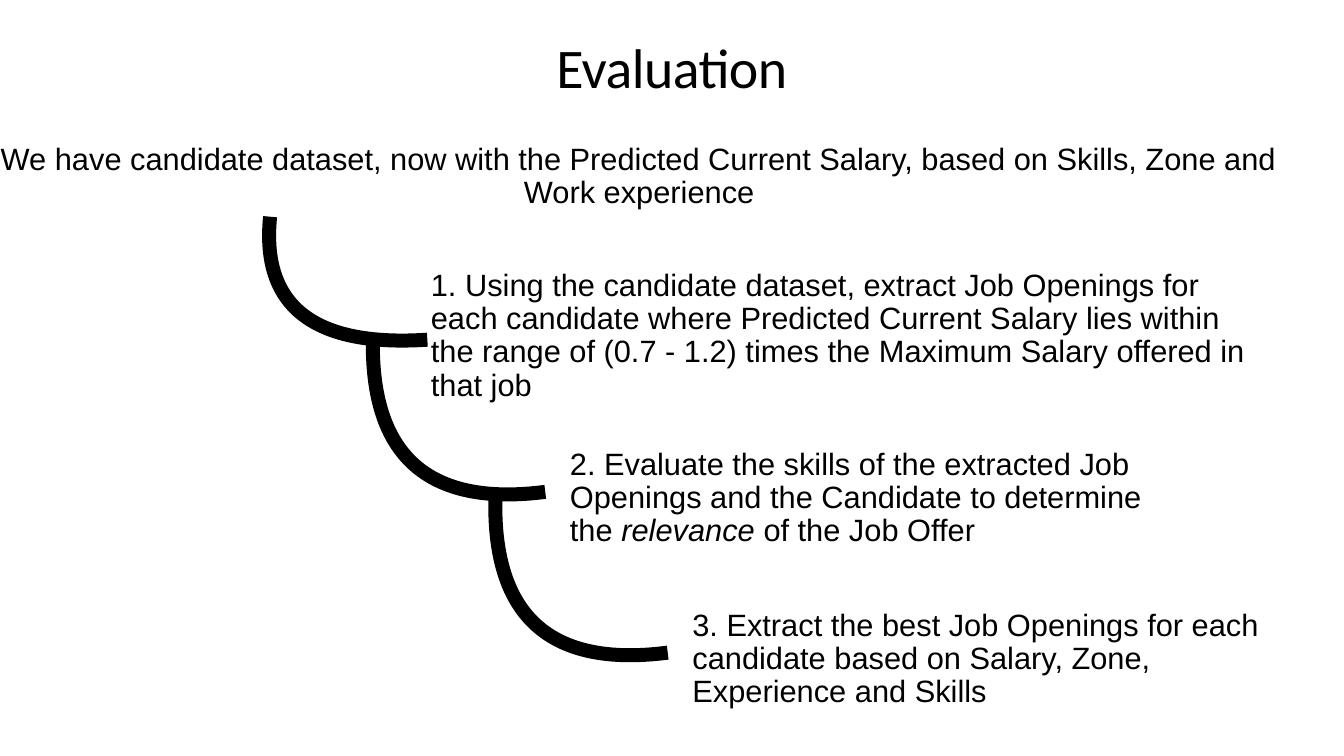
from dataclasses import dataclass

from lxml.etree import SubElement
from pptx import Presentation
from pptx.dml.color import RGBColor
from pptx.enum.text import MSO_ANCHOR, MSO_AUTO_SIZE, PP_ALIGN
from pptx.oxml.ns import qn
from pptx.util import Inches, Pt


@dataclass(frozen=True)
class Theme:
    ink: RGBColor = RGBColor(0, 0, 0)
    title_font: str = "Calibri"
    body_font: str = "Arial"
    title_size: float = 79.8
    body_size: float = 44
    stroke: float = 20
    inset: float = 0.06


class SlideBuilder:
    def __init__(self, prs, theme):
        self.theme = theme
        self.s = prs.slides.add_slide(prs.slide_layouts[6])

    def text(self, box, runs, font, size, frame_format, paragraph_format):
        sp = self.s.shapes.add_textbox(*map(Inches, box))
        tf = sp.text_frame
        margins = {f"margin_{side}": Inches(self.theme.inset)
                   for side in ("left", "top", "right", "bottom")}
        for name, value in {"word_wrap": True, **margins, **frame_format}.items():
            setattr(tf, name, value)
        p = tf.paragraphs[0]
        for name, value in paragraph_format.items():
            setattr(p, name, value)
        for words, italic in runs:
            r = p.add_run()
            r.text = words
            for name, value in {"name": font, "size": Pt(size), "italic": italic}.items():
                setattr(r.font, name, value)
            r.font.color.rgb = self.theme.ink
        return p

    def title(self, box, words):
        p = self.text(box, [(words, False)], self.theme.title_font, self.theme.title_size,
                      {"vertical_anchor": MSO_ANCHOR.TOP},
                      {"alignment": PP_ALIGN.CENTER, "line_spacing": 0.8})
        for r in p.runs:
            r.font._element.set("spc", "-80")

    def body(self, box, runs, align=PP_ALIGN.LEFT, **frame_format):
        self.text(box, runs, self.theme.body_font, self.theme.body_size,
                  {"vertical_anchor": MSO_ANCHOR.MIDDLE,
                   "auto_size": MSO_AUTO_SIZE.SHAPE_TO_FIT_TEXT, **frame_format},
                  {"alignment": align, "line_spacing": 0.9, "space_before": Pt(24)})

    def curve(self, start, *targets):
        fb = self.s.shapes.build_freeform(*map(Inches, start))
        fb.add_line_segments([tuple(map(Inches, targets[-1]))], close=False)
        sp = fb.convert_to_shape()
        segment = next(sp._element.iter(qn("a:lnTo")))
        segment.tag = qn("a:cubicBezTo")
        for pt in list(segment):
            segment.remove(pt)
        for x, y in targets:
            SubElement(segment, qn("a:pt"), x=str(Inches(x - start[0])),
                       y=str(Inches(y - start[1])))
        sp.shadow.inherit = False
        sp.fill.background()
        sp.line.color.rgb = self.theme.ink
        sp.line.width = Pt(self.theme.stroke)


def main():
    prs = Presentation()
    prs.slide_width, prs.slide_height = Inches(26.67), Inches(15)
    slide = SlideBuilder(prs, Theme())

    slide.title((1.33, 0.85, 24, 1.89), "Evaluation")
    slide.body((-0.02, 2.75, 26.71, 1.51),
               [("We have candidate dataset, now with the Predicted Current Salary, "
                 "based on Skills, Zone and Work experience", False)],
               PP_ALIGN.CENTER, margin_left=0, margin_right=Inches(1.3))

    steps = [
        ((8.49, 5.26, 16.45, 2.83),
         [("1. Using the candidate dataset, extract Job Openings for each candidate where "
           "Predicted Current Salary lies within the range of (0.7 - 1.2) times the "
           "Maximum Salary offered in that job", False)]),
        ((11.25, 8.81, 12.45, 2.17),
         [("2. Evaluate the skills of the extracted Job Openings and the Candidate "
           "to determine the ", False),
          ("relevance", True),
          (" of the Job Offer", False)]),
        ((13.68, 12, 11.84, 2.17),
         [("3. Extract the best Job Openings for each candidate based on Salary, Zone, "
           "Experience and Skills", False)]),
    ]
    for box, runs in steps:
        slide.body(box, runs)

    slide.curve((5.36, 4.3), (5.18, 6.07), (6.22, 6.89), (8.48, 6.74))
    branch = ((0, 0), (-0.05, 2.34), (1.09, 3.36), (3.42, 3.06))
    for left, top in ((7.4, 6.7), (9.83, 9.89)):
        slide.curve(*((left + dx, top + dy) for dx, dy in branch))

    prs.save("out.pptx")


if __name__ == "__main__":
    main()
